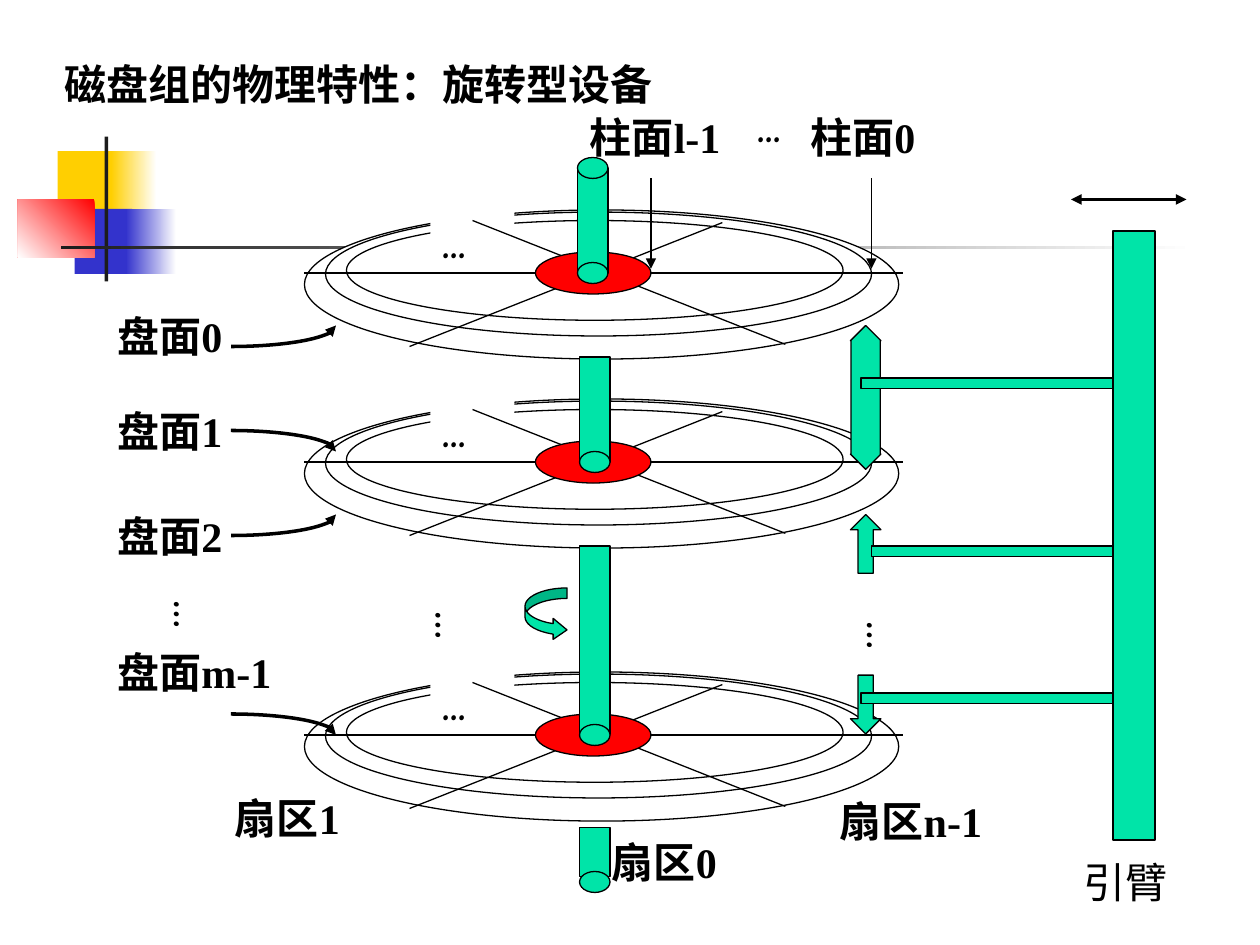
from pptx import Presentation
from pptx.dml.color import RGBColor
from pptx.enum.shapes import MSO_CONNECTOR, MSO_SHAPE
from pptx.enum.text import MSO_AUTO_SIZE
from pptx.oxml.ns import qn
from pptx.oxml.xmlchemy import OxmlElement
from pptx.util import Inches, Pt

BLACK = RGBColor(0x00, 0x00, 0x00)
WHITE = RGBColor(0xFF, 0xFF, 0xFF)
YELLOW = RGBColor(0xFF, 0xCF, 0x01)
BLUE = RGBColor(0x33, 0x33, 0xCC)
RED = RGBColor(0xFF, 0x00, 0x00)
CHARCOAL = RGBColor(0x1C, 0x1C, 0x1C)
GREEN = RGBColor(0x00, 0xE4, 0xA8)
SERIF = "Times New Roman"
COMIC = "Comic Neue"

COLUMNS = 120
THIN, THICK = 0.75, 2

TITLE = ("磁盘组的物理特性：旋转型设备", (5, 5, 105, 10))
LABELS = [
    ("盘面0", (10, 29, 14, 6)),
    ("盘面1", (10, 38, 14, 6)),
    ("盘面2", (10, 48, 14, 6)),
    ("盘面m-1", (10, 61, 18, 6)),
    ("扇区1", (21.2, 74.9, 13.2, 10.8)),
    ("扇区0", (57.1, 79.1, 14, 6)),
    ("扇区n-1", (78.8, 75.2, 16.1, 10.8)),
    ("柱面0", (76, 10, 14, 6)),
    ("柱面l-1", (55, 10, 17, 6)),
]
ARM_LABEL = ("引臂", (102, 81, 12, 6))
CYLINDER_DOTS = (71, 9, 7, 6)
VERTICAL_DOTS = [(38.9, 57), (80, 58), (14, 56)]

ORNAMENTS = [
    ((5.5, 14.4, 5.8, 6.2), YELLOW, None, 0),
    ((10.6, 14.4, 4.3, 6.2), WHITE, YELLOW, 180),
    ((7.1, 19.9, 5.5, 6.2), BLUE, None, 0),
    ((12, 19.9, 4.8, 6.2), WHITE, BLUE, 180),
    ((1.7, 19, 7.3, 5.5), RED, WHITE, 225),
    ((9.96, 13, 0.36, 13.8), CHARCOAL, None, 0),
    ((5.8, 23.4, 108, 0.36), WHITE, CHARCOAL, 180),
]

DISC_TOPS = [20, 38, 64]
TRACKS = [(29, 0, 56.6, 14.2), (31, 0.2, 52, 11.8), (33, 1, 47.3, 9.5)]
SECTOR_LINES = [
    ((68.8, 1.2), (39, 13)),
    ((45, 1), (74.8, 12.8)),
    ((29, 6), (86, 6)),
]
TRACK_DOTS = (41, 0, 8, 6)
HUB = (51, 4, 11, 4)

SHAFTS = [(55, 16, 10), (55.2, 34, 10), (55.2, 52, 17.9), (55.2, 78.8, 4.7)]
SHAFT_CAPS = [(55, 15), (55, 25), (55.2, 43), (55.2, 69), (55.2, 83)]
SHAFT_WIDTH = 2.9

HEAD_ARROWS = [
    (MSO_SHAPE.UP_ARROW, (81, 49, 2.9, 5.6), (0.5, 0.5)),
    (MSO_SHAPE.UP_DOWN_ARROW, (81, 31, 2.9, 13.7), (0.5, 0.96)),
    (MSO_SHAPE.DOWN_ARROW, (81, 64.3, 2.9, 5.6), (0.5, 0.5)),
]
ARM_BARS = [(82, 36, 24, 1), (83, 52, 24, 1), (82, 66, 24, 1)]
ARM = (106, 22, 4, 58)
ROTATION_ARROW = (50, 56, 4, 5)

POINTERS = [(29, True), (41, False), (47, True), (68, False)]
CYLINDER_ARROWS = [62, 83]

presentation = Presentation()
presentation.slide_width = Inches(10)
presentation.slide_height = Inches(7.5)
slide = presentation.slides.add_slide(presentation.slide_layouts[6])
UNIT = presentation.slide_width / COLUMNS


def grid(*values):
    return [round(value * UNIT) for value in values]


def lowered(box, top):
    left, offset, width, height = box
    return left, top + offset, width, height


def add_shape(kind, box, fill=None, line_width=THIN, adjustments=()):
    shape = slide.shapes.add_shape(kind, *grid(*box))
    shape.shadow.inherit = False
    for index, value in enumerate(adjustments):
        shape.adjustments[index] = value
    if fill is None:
        shape.fill.background()
    else:
        shape.fill.solid()
        shape.fill.fore_color.rgb = fill
    if line_width:
        shape.line.color.rgb = BLACK
        shape.line.width = Pt(line_width)
    else:
        shape.line.fill.background()
    return shape


def add_arrowheads(shape, *ends):
    outline = shape.element.spPr.find(qn("a:ln"))
    for end in ends:
        arrowhead = OxmlElement(f"a:{end}")
        arrowhead.set("type", "triangle")
        outline.append(arrowhead)


def add_line(start, finish, width=THIN, ends=()):
    connector = slide.shapes.add_connector(
        MSO_CONNECTOR.STRAIGHT, *grid(*start, *finish))
    connector.line.color.rgb = BLACK
    connector.line.width = Pt(width)
    connector.element.spPr.append(OxmlElement("a:effectLst"))
    add_arrowheads(connector, *ends)


def add_text(text, box, font=SERIF, bold=True, vertical=False, before=15):
    textbox = slide.shapes.add_textbox(*grid(*box))
    frame = textbox.text_frame
    frame.word_wrap = True
    if before:
        frame.auto_size = MSO_AUTO_SIZE.SHAPE_TO_FIT_TEXT
    if vertical:
        frame.margin_left = frame.margin_right = Inches(0.05)
        frame.margin_top = frame.margin_bottom = Inches(0.1)
        textbox.element.txBody.bodyPr.set("vert", "eaVert")
    paragraph = frame.paragraphs[0]
    paragraph.text = text
    paragraph.space_before = Pt(before)
    paragraph.font.name = font
    paragraph.font.size = Pt(24)
    paragraph.font.bold = bold
    paragraph.font.color.rgb = BLACK
    return textbox


def add_disc(top):
    for track in TRACKS:
        add_shape(MSO_SHAPE.OVAL, lowered(track, top), WHITE)
    dots = add_text("...", lowered(TRACK_DOTS, top), COMIC)
    dots.fill.solid()
    dots.fill.fore_color.rgb = WHITE
    for (x1, y1), (x2, y2) in SECTOR_LINES:
        add_line((x1, top + y1), (x2, top + y2))
    add_shape(MSO_SHAPE.OVAL, lowered(HUB, top), RED)


for box, first, second, angle in ORNAMENTS:
    ornament = add_shape(MSO_SHAPE.RECTANGLE, box, first, 0)
    if second is not None:
        ornament.fill.gradient()
        ornament.fill.gradient_angle = angle
        for stop, color, position in zip(
                ornament.fill.gradient_stops, (first, second), (0, 1)):
            stop.color.rgb = color
            stop.position = position

add_text(*TITLE, before=0)
for top in DISC_TOPS:
    add_disc(top)

for left, top, height in SHAFTS:
    add_shape(MSO_SHAPE.RECTANGLE, (left, top, SHAFT_WIDTH, height), GREEN)
for left, top in SHAFT_CAPS:
    add_shape(MSO_SHAPE.OVAL, (left, top, SHAFT_WIDTH, 2), GREEN)
add_shape(MSO_SHAPE.CURVED_RIGHT_ARROW, ROTATION_ARROW, GREEN,
          adjustments=(0.25, 0.5, 0.33))

for kind, box, adjustments in HEAD_ARROWS:
    add_shape(kind, box, GREEN, adjustments=adjustments)
for box in [*ARM_BARS, ARM]:
    add_shape(MSO_SHAPE.RECTANGLE, box, GREEN)

for top, rising in POINTERS:
    angles = (0, 54) if rising else (162, 0)
    pointer = add_shape(MSO_SHAPE.ARC, (12, top, 20, 4), None, THICK, angles)
    add_arrowheads(pointer, "headEnd" if rising else "tailEnd")

for x in CYLINDER_ARROWS:
    add_line((x, 17), (x, 25.6), ends=("tailEnd",))
add_line((102, 19), (113, 19), THICK, ("headEnd", "tailEnd"))

for text, box in LABELS:
    add_text(text, box)
add_text(*ARM_LABEL, bold=False)
add_text("...", CYLINDER_DOTS, COMIC)
for left, top in VERTICAL_DOTS:
    add_text("…", (left, top, 7.2, 8), COMIC, vertical=True)

presentation.save("out.pptx")
